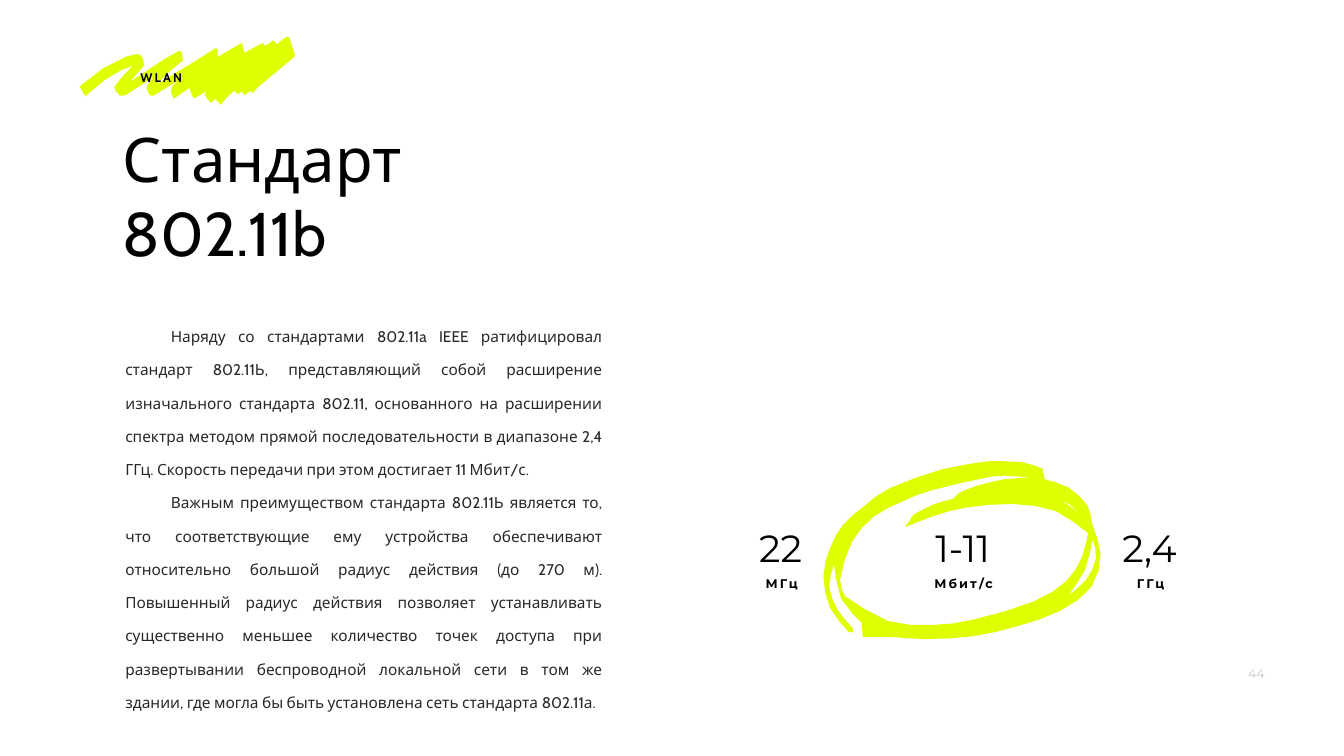
from pptx import Presentation, util as u
from pptx.dml.color import RGBColor
from pptx.enum import text as t

LIME, BLACK, DARK, GREY = "DFFE00", "000000", "292829", "C3CBD0"
UNIT = u.Cm(0.0254)  # grid step of the pen outlines

# Outlines are "x,y" points; "|" marks a corner between smooth strokes.
RING = [
    "1962,915 1870,931 1767,968 1720,1000 1673,1041 1647,1088 1634,1143 "
    "1647,1206 1684,1254 | 1693,1255 | 1692,1246 | 1662,1210 1645,1163 1655,1120 | "
    "1669,1188 1710,1236 | 1712,1264 | 1772,1264 1833,1268 1927,1263 "
    "2017,1243 2104,1212 2166,1164 2184,1099 2167,1040 | 2158,1003 2120,967 "
    "2073,951 | 2069,930 | 2028,917 1962,915",
    "2007,945 2048,947 | 1993,951 1938,964 1903,978 | 1891,990 | 1852,1001 "
    "1813,1021 | 1796,1046 | 1855,1023 1918,1007 2009,1000 2095,1014 "
    "2159,1058 | 2147,1105 2116,1153 2050,1194 1933,1229 1851,1240 1761,1232 "
    "1677,1183 | 1667,1150 1690,1076 1734,1025 1791,995 1848,973 1966,946 2007,945",
    "2093,987 2123,1001 | 2144,1020 | 2117,1000 | 2093,987",
    "2168,1070 2175,1107 2155,1151 2120,1181 | 2153,1131 2168,1070",
]
SCRIBBLE = [
    "160,170 204,136 251,112 272,107 279,109 284,117 286,130 257,163 322,120 "
    "355,101 361,104 363,120 334,144 309,169 386,122 427,96 432,97 432,113 "
    "480,85 485,105 521,85 527,91 543,80 549,88 568,73 574,74 585,108 584,113 "
    "513,172 501,185 497,180 485,189 480,182 471,187 465,180 450,193 438,208 "
    "427,196 419,204 411,196 406,186 413,179 386,195 383,193 376,176 378,173 "
    "345,196 339,182 342,171 354,160 304,190 297,189 291,175 293,168 306,152 "
    "249,189 238,190 229,180 227,172 244,151 263,131 241,139 210,157 169,191 "
    "158,172",
]

BODY = [
    "Наряду со стандартами 802.11a IEEE ратифицировал стандарт 802.11Ь, "
    "представляющий собой расширение изначального стандарта 802.11, основанного "
    "на расширении спектра методом прямой последовательности в диапазоне 2,4 ГГц. "
    "Скорость передачи при этом достигает 11 Мбит/с.",
    "Важным преимуществом стандарта 802.11Ь является то, что соответствующие ему "
    "устройства обеспечивают относительно большой радиус действия (до 270 м). "
    "Повышенный радиус действия позволяет устанавливать существенно меньшее "
    "количество точек доступа при развертывании беспроводной локальной сети в том "
    "же здании, где могла бы быть установлена сеть стандарта 802.11а.",
]
STATS = [(34.65, "22", "МГц"), (43.82, "1-11", "Мбит/с"), (53.24, "2,4", "ГГц")]


def color(code):
    return RGBColor.from_string(code)


def blend(a, b, c, d):
    """Catmull-Rom value halfway between b and c."""
    return (9 * (b + c) - a - d) / 16


def trace(line, smooth):
    """Turn a point string into slide positions, with rounded strokes if smooth."""
    dots = []
    for part in line.split("|"):
        new = [tuple(map(int, p.split(","))) for p in part.split()]
        pts = dots[-1:] + new
        if not dots:
            dots.append(pts[0])
        ext = pts[:1] + pts + pts[-1:]
        for quad in zip(ext, ext[1:], ext[2:], ext[3:]):
            if smooth and len(pts) > 2:
                dots.append(tuple(blend(*axis) for axis in zip(*quad)))
            dots.append(quad[2])
    return [(x * UNIT, y * UNIT) for x, y in dots]


def add_mark(slide, lines, fill, smooth=False):
    first, *rest = [trace(line, smooth) for line in lines]
    pen = slide.shapes.build_freeform(*first[0])
    pen.add_line_segments(first[1:], close=True)
    for dots in rest:
        pen.move_to(*dots[0])
        pen.add_line_segments(dots[1:], close=True)
    mark = pen.convert_to_shape()
    mark.shadow.inherit = False
    mark.fill.solid()
    mark.fill.fore_color.rgb = color(fill)
    mark.line.fill.background()


def add_text(slide, box, *paras, font="Cabin", size=18, fill=BLACK, bold=False,
             align=t.PP_ALIGN.LEFT, anchor=t.MSO_ANCHOR.TOP, inset=0.1,
             lead=None, indent=0, track=0):
    frame = slide.shapes.add_textbox(*map(u.Cm, box)).text_frame
    frame.word_wrap = True
    frame.vertical_anchor = anchor
    frame.margin_left = frame.margin_right = u.Cm(inset)
    frame.margin_top = frame.margin_bottom = u.Cm(min(inset, 0.13))
    for i, words in enumerate(paras):
        para = frame.add_paragraph() if i else frame.paragraphs[0]
        para.alignment = align
        if lead:
            para.line_spacing = lead
        if indent:
            para._p.get_or_add_pPr().set("indent", str(u.Cm(indent)))
        run = para.add_run()
        run.text = words
        run.font.name, run.font.size, run.font.bold = font, u.Pt(size), bold
        run.font.color.rgb = color(fill)
        if track:
            run._r.get_or_add_rPr().set("spc", str(track * 100))


def add_stat(slide, left, value, unit):
    mid = t.PP_ALIGN.CENTER
    add_text(slide, (left + 0.1, 28.93, 9.3, 1), unit, font="Montserrat",
             bold=True, align=mid, anchor=t.MSO_ANCHOR.MIDDLE, track=3)
    add_text(slide, (left, 25.91, 9.4, 2.8), value, font="Montserrat",
             size=54, align=mid, lead=1.2)


def main():
    deck = Presentation()
    deck.slide_width, deck.slide_height = u.Cm(67.74), u.Cm(38.1)
    slide = deck.slides.add_slide(deck.slide_layouts[6])
    add_mark(slide, RING, LIME, smooth=True)
    add_text(slide, (6.1, 6, 21.1, 8.74), "Стандарт 802.11b", size=88)
    add_text(slide, (6.07, 15.62, 24.54, 20.57), *BODY, size=22, fill=DARK,
             align=t.PP_ALIGN.JUSTIFY, inset=0.25, lead=1.8, indent=2.29)
    for stat in STATS:
        add_stat(slide, *stat)
    add_mark(slide, SCRIBBLE, LIME)
    add_text(slide, (6.98, 3.4, 15.54, 1), "WLAN", bold=True,
             anchor=t.MSO_ANCHOR.MIDDLE, track=3)
    add_text(slide, (62.66, 33.43, 2.49, 1.35), "44", font="Montserrat",
             fill=GREY, inset=0.25)
    deck.save("out.pptx")


if __name__ == "__main__":
    main()
